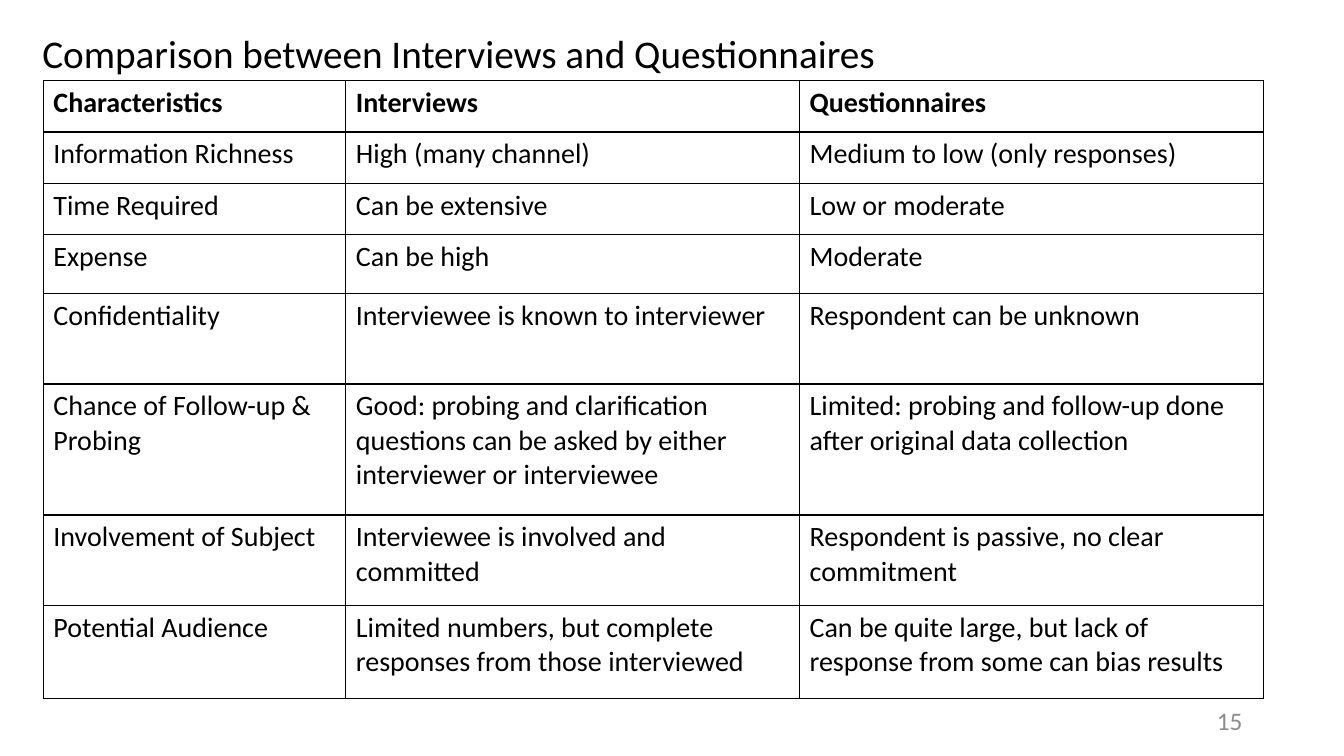
from lxml import etree
from pptx import Presentation
from pptx.dml.color import RGBColor
from pptx.enum.text import MSO_ANCHOR, MSO_AUTO_SIZE, PP_ALIGN
from pptx.oxml.ns import qn
from pptx.util import Inches, Pt

TOP, MIDDLE = MSO_ANCHOR.TOP, MSO_ANCHOR.MIDDLE
JUSTIFY, RIGHT = PP_ALIGN.JUSTIFY, PP_ALIGN.RIGHT
NO_FIT = MSO_AUTO_SIZE.NONE
BLACK, WHITE, GRAY = "000000", "FFFFFF", "8C8C8C"

WIDTHS = [3, 4.5, 4.6]
HEIGHTS = [0.51, 0.51, 0.51, 0.58, 0.9, 1.3, 0.9, 0.92]
ROWS = [
    ("Characteristics", "Interviews", "Questionnaires"),
    ("Information Richness", "High (many channel)",
     "Medium to low (only responses)"),
    ("Time Required", "Can be extensive", "Low or moderate"),
    ("Expense", "Can be high", "Moderate"),
    ("Confidentiality", "Interviewee is known to interviewer",
     "Respondent can be unknown"),
    ("Chance of Follow-up & Probing",
     "Good: probing and clarification questions can be asked by either "
     "interviewer or interviewee",
     "Limited: probing and follow-up done after original data collection"),
    ("Involvement of Subject", "Interviewee is involved and committed",
     "Respondent is passive, no clear commitment"),
    ("Potential Audience",
     "Limited numbers, but complete responses from those interviewed",
     "Can be quite large, but lack of response from some can bias results"),
]


def color(code):
    return RGBColor.from_string(code)


def write(frame, text, size, code, bold=False, **layout):
    para = frame.paragraphs[0]
    run = para.add_run()
    run.text = text
    font = {"name": "Calibri", "size": Pt(size), "bold": bold}
    for key, value in font.items():
        setattr(run.font, key, value)
    run.font.color.rgb = color(code)
    for key, value in layout.items():
        setattr(para, key, value)
    return para


deck = Presentation()
deck.slide_width, deck.slide_height = Inches(13.33), Inches(7.5)
slide = deck.slides.add_slide(deck.slide_layouts[1])
title = slide.shapes.title.element
title.getparent().remove(title)

# Heading in the body placeholder
body = slide.placeholders[1]
place = {"left": 0.32, "top": 0.29, "width": 12.1, "height": 7.21}
for key, value in place.items():
    setattr(body, key, Inches(value))
body.text_frame.auto_size = NO_FIT
body.text_frame.vertical_anchor = TOP
head = write(body.text_frame, "Comparison between Interviews and Questionnaires",
             28, BLACK, alignment=JUSTIFY, line_spacing=0.9,
             space_before=Pt(10), space_after=Pt(12))
props = head._p.get_or_add_pPr()
props.set("marL", "0")
props.set("indent", "0")
etree.SubElement(props, qn("a:buNone"))

# Page number
page = slide.shapes.add_textbox(Inches(9.42), Inches(6.95), Inches(3), Inches(0.4))
page.text_frame.word_wrap = True
page.text_frame.vertical_anchor = MIDDLE
write(page.text_frame, "15", 18, GRAY, alignment=RIGHT)

# Comparison table
table = slide.shapes.add_table(len(ROWS), len(WIDTHS), Inches(0.43), Inches(0.8),
                               Inches(sum(WIDTHS)), Inches(sum(HEIGHTS))).table
table.horz_banding = False
for col, width in zip(table.columns, WIDTHS):
    col.width = Inches(width)
for i, (row, height) in enumerate(zip(table.rows, HEIGHTS)):
    row.height = Inches(height)
    for cell, text in zip(row.cells, ROWS[i]):
        write(cell.text_frame, text, 20, BLACK, bold=i == 0)
        # Borders come before the fill in the cell properties
        for side in ("a:lnL", "a:lnR", "a:lnT", "a:lnB"):
            line = etree.SubElement(cell._tc.get_or_add_tcPr(), qn(side),
                                    w=str(Pt(1)))
            fill = etree.SubElement(line, qn("a:solidFill"))
            etree.SubElement(fill, qn("a:srgbClr"), val=BLACK)
        cell.fill.solid()
        cell.fill.fore_color.rgb = color(WHITE)

deck.save("out.pptx")
